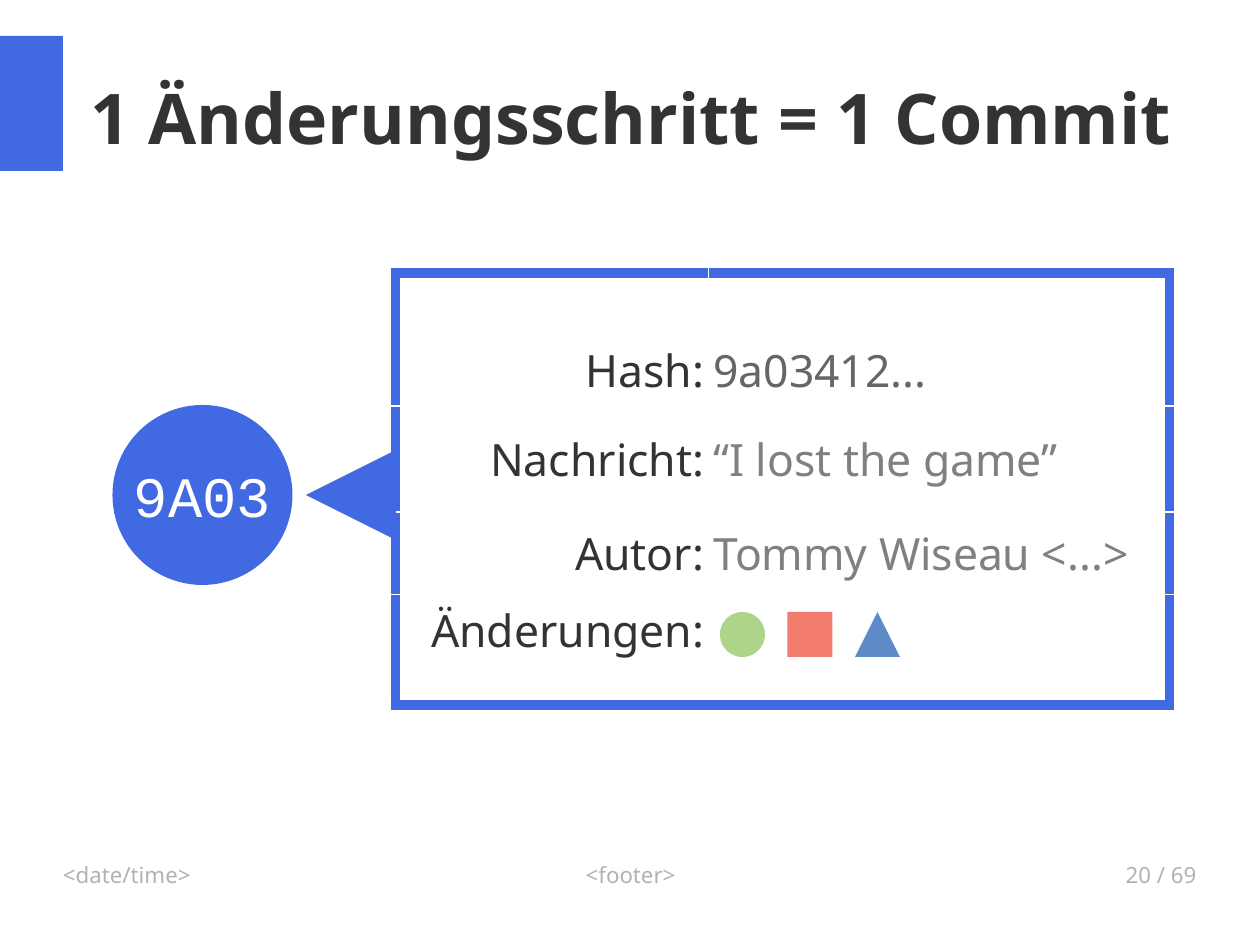
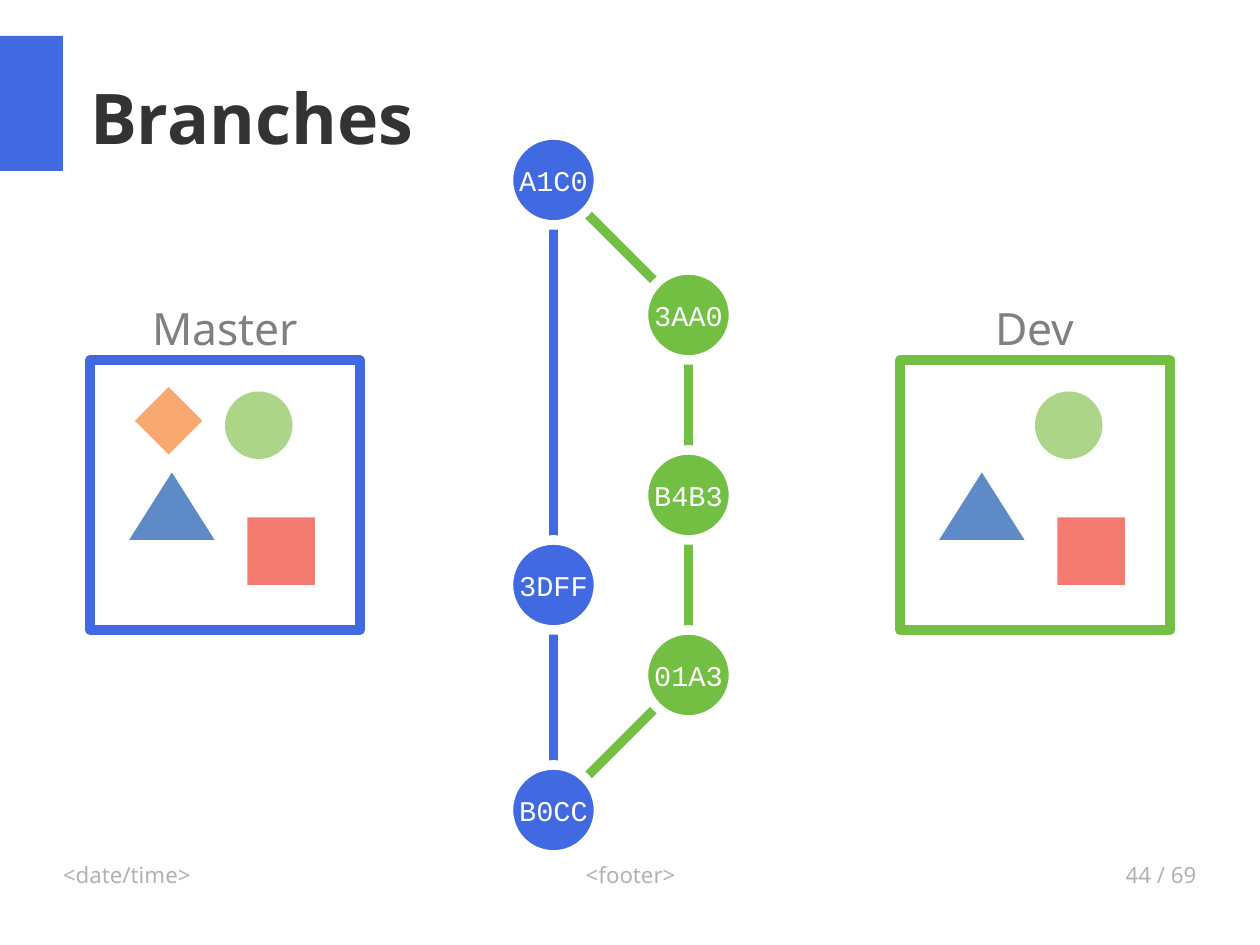
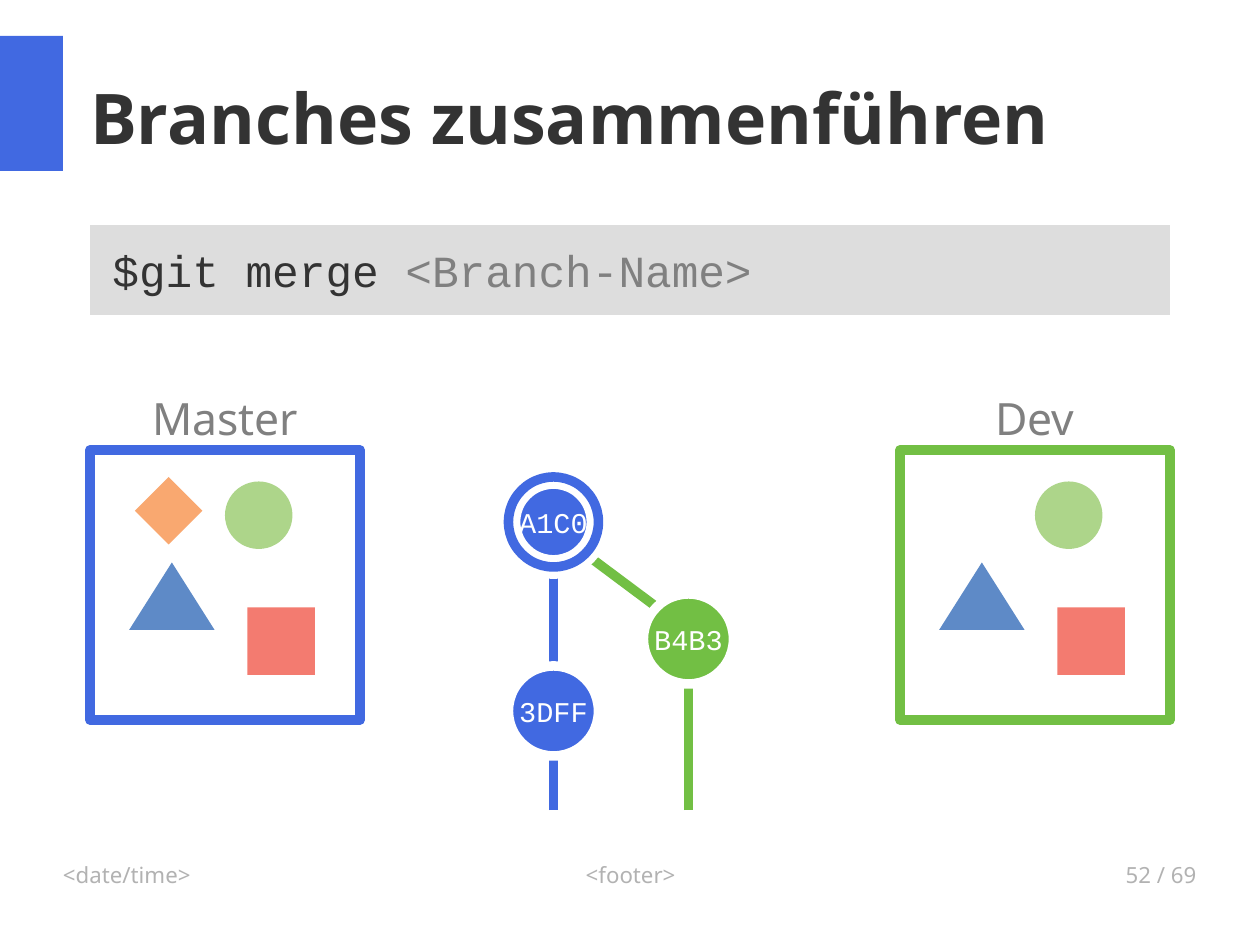
"""Builds three slides on commits and branches, on a grid of 28 columns by 21 rows."""
import pptx
import pptx.dml.color
import pptx.enum.shapes
import pptx.enum.text
import pptx.oxml
import pptx.oxml.ns
import pptx.util

Pt = pptx.util.Pt
RGB = pptx.dml.color.RGBColor.from_string
KIND = pptx.enum.shapes.MSO_SHAPE
ALIGN = pptx.enum.text.PP_ALIGN
ANCHOR = pptx.enum.text.MSO_ANCHOR
NS = pptx.oxml.ns.nsdecls("a")

COLS, ROWS = 28, 21
CELL = pptx.util.Cm(1)
COLORS = {
    "blue": "4169E1", "green": "72BF44", "white": "FFFFFF", "dark": "333333",
    "hash": "666666", "grey": "808080", "pale": "B2B2B2", "code": "DDDDDD",
    "circle": "ADD58A", "square": "F37B70", "triangle": "5E8AC7", "diamond": "F9A870",
}
TITLE = {"name": "Noto Sans", "size": Pt(44), "bold": True}
BODY = {"name": "Noto Sans", "size": Pt(28)}
FOOTER = {"name": "Noto Sans", "size": Pt(14)}
CODE = {"name": "Courier New", "size": Pt(28)}
HASH = {"name": "Courier New", "size": Pt(36)}
NODE = {"name": "Courier New", "size": Pt(18)}
FLUSH = {"margin_left": 0, "margin_right": 0, "margin_top": 0, "margin_bottom": 0,
         "word_wrap": True}
PLACED = {**FLUSH, "vertical_anchor": ANCHOR.MIDDLE,
          "auto_size": pptx.enum.text.MSO_AUTO_SIZE.NONE}
INSIDE = {"word_wrap": False, "vertical_anchor": ANCHOR.MIDDLE}
LABEL = {"word_wrap": True, "vertical_anchor": ANCHOR.BOTTOM}


def shape(s, kind, box, fill=None, line=None, width=6):
    """Adds a preset shape on grid cells."""
    sp = s.shapes.add_shape(kind, *(int(v * CELL) for v in box))
    sp.shadow.inherit = False
    for part, color in ((sp.fill, fill), (sp.line.fill, line)):
        if color:
            part.solid()
            part.fore_color.rgb = RGB(COLORS[color])
        else:
            part.background()
    if line:
        sp.line.width = Pt(width)
    return sp


def write(tf, runs, font, align=ALIGN.LEFT, frame=None):
    """Writes one paragraph of coloured runs."""
    for key, value in (frame or {}).items():
        setattr(tf, key, value)
    p = tf.paragraphs[0]
    p.alignment = align
    p.space_before = Pt(0)
    for text, color in runs:
        r = p.add_run()
        r.text = text
        r.font.color.rgb = RGB(COLORS[color])
        for key, value in font.items():
            setattr(r.font, key, value)


prs = pptx.Presentation()
prs.slide_width, prs.slide_height = COLS * CELL, ROWS * CELL
master = prs.slide_master

slides = []
for title, number, layout in (("1 Änderungsschritt = 1 Commit", 20, 5),
                              ("Branches", 44, 5),
                              ("Branches zusammenführen", 52, 1)):
    s = prs.slides.add_slide(prs.slide_layouts[layout])
    slides.append(s)
    sp = s.shapes.title
    sp.left, sp.top, sp.width, sp.height = (int(v * CELL) for v in (2, 0.84, 24.6, 3.5))
    write(sp.text_frame, [(title, "dark")], TITLE, frame=PLACED)
    sp = s.shapes.add_textbox(*(int(v * CELL) for v in (20.07, 19.13, 6.52, 1.44)))
    write(sp.text_frame, [(f"{number} / 69", "pale")], FOOTER, ALIGN.RIGHT, FLUSH)
commit, branches, merge = slides

shared = [shape(commit, KIND.RECTANGLE, (0, 0.8, 1.4, 3), "blue")]
for text, left, width, align in (("<date/time>", 1.4, 6.52, ALIGN.LEFT),
                                 ("<footer>", 9.58, 8.87, ALIGN.CENTER)):
    sp = commit.shapes.add_textbox(*(int(v * CELL) for v in (left, 19.13, width, 1.44)))
    write(sp.text_frame, [(text, "pale")], FOOTER, align, FLUSH)
    shared.append(sp)
for i, sp in enumerate(shared, 20):
    sp._element.nvSpPr.cNvPr.set("id", str(i))
    master.shapes._spTree.append(sp._element)

sp = shape(commit, KIND.OVAL, (2.5, 9, 4, 4), "blue")
write(sp.text_frame, [("9A03", "white")], HASH, ALIGN.CENTER, INSIDE)

facts = [
    ("Hash:", "9a03412...", "hash", 2.95, ANCHOR.BOTTOM),
    ("Nachricht:", "“I lost the game”", "grey", 2.36, ANCHOR.MIDDLE),
    ("Autor:", "Tommy Wiseau <...>", "grey", 1.83, ANCHOR.MIDDLE),
    ("Änderungen:", "", "grey", 2.46, ANCHOR.TOP),
]
box = (8.79, 6.07, 17.2, 9.6)
table = commit.shapes.add_table(len(facts), 2, *(int(v * CELL) for v in box)).table
table.first_row = table.horz_banding = False
for col, width in zip(table.columns, (6.96, 10.24)):
    col.width = int(width * CELL)
for i, (name, value, color, height, anchor) in enumerate(facts):
    table.rows[i].height = int(height * CELL)
    for j, (text, ink, align) in enumerate(((name, "dark", ALIGN.RIGHT),
                                            (value, color, ALIGN.LEFT))):
        cell = table.cell(i, j)
        cell.vertical_anchor = anchor
        cell.margin_left = cell.margin_right = Pt(3)
        if text:
            write(cell.text_frame, [(text, ink)], BODY, align)
        edges = {"lnL": j == 0, "lnR": j == 1, "lnT": i == 0, "lnB": i == len(facts) - 1}
        for edge, outer in edges.items():
            if outer:
                cell._tc.get_or_add_tcPr().append(pptx.oxml.parse_xml(
                    f'<a:{edge} {NS} w="{Pt(6.8)}"><a:solidFill><a:srgbClr '
                    f'val="{COLORS["blue"]}"/></a:solidFill></a:{edge}>'))
        cell.fill.background()

shape(commit, KIND.ISOSCELES_TRIANGLE, (6.8, 10, 2, 2), "blue").rotation = 270
for i, (kind, color) in enumerate(((KIND.OVAL, "circle"), (KIND.RECTANGLE, "square"),
                                   (KIND.ISOSCELES_TRIANGLE, "triangle"))):
    shape(commit, kind, (16 + 1.5 * i, 13.6, 1, 1), color)

sp = merge.placeholders[1]
sp.left, sp.top, sp.width, sp.height = (v * CELL for v in (2, 5, 24, 2))
sp.fill.solid()
sp.fill.fore_color.rgb = RGB(COLORS["code"])
pPr = sp.text_frame.paragraphs[0]._p.get_or_add_pPr()
pPr.set("marL", str(CELL // 2))
pPr.set("indent", "0")
pPr.append(pptx.oxml.parse_xml(f"<a:buNone {NS}/>"))
write(sp.text_frame, [("$git merge ", "dark"), ("<Branch-Name>", "grey")], CODE, frame=PLACED)

lanes = {"blue": 12.3, "green": 15.3}
graphs = [
    (branches, 8, None,
     {"B0CC": ("blue", 18), "3DFF": ("blue", 13), "01A3": ("green", 15),
      "B4B3": ("green", 11), "3AA0": ("green", 7), "A1C0": ("blue", 4)},
     [("B0CC", "3DFF"), ("3DFF", "A1C0"), ("B0CC", "01A3"), ("01A3", "B4B3"),
      ("B4B3", "3AA0"), ("3AA0", "A1C0")], {}),
    (merge, 10, "A1C0",
     {"3DFF": ("blue", 15.8), "B4B3": ("green", 14.2), "A1C0": ("blue", 11.6)},
     [("blue tail", "3DFF"), ("green tail", "B4B3"), ("3DFF", "A1C0"), ("B4B3", "A1C0")],
     {"blue tail": ("blue", 19), "green tail": ("green", 19)}),
]
contents = [
    (KIND.OVAL, (3, 0.7, 1.5, 1.5), "circle"),
    (KIND.ISOSCELES_TRIANGLE, (0.87, 2.5, 1.9, 1.5), "triangle"),
    (KIND.RECTANGLE, (3.5, 3.5, 1.5, 1.5), "square"),
    (KIND.DIAMOND, (1, 0.6, 1.5, 1.5), "diamond"),
]
for s, top, head, nodes, edges, tails in graphs:
    ends = {**nodes, **tails}
    for start, end in edges:
        (lane1, y1), (lane2, y2) = ends[start], ends[end]
        x1, x2 = lanes[lane1], lanes[lane2]
        side = (x2 > x1) - (x2 < x1)
        reach = 0.71 if side else 1
        points = (x1 + reach * side, y1 - reach, x2 - reach * side, y2 + reach)
        cxn = s.shapes.add_connector(pptx.enum.shapes.MSO_CONNECTOR.STRAIGHT,
                                     *(int(v * CELL) for v in points))
        cxn.line.color.rgb = RGB(COLORS["green" if "green" in (lane1, lane2) else "blue"])
        cxn.line.width = Pt(6)
        cxn._element.spPr.append(pptx.oxml.parse_xml(f"<a:effectLst {NS}/>"))
    for name, (lane, y) in nodes.items():
        box = (lanes[lane] - 1, y - 1, 2, 2)
        sp = shape(s, KIND.OVAL, box, lane, "white", 15 if name == head else 6)
        write(sp.text_frame, [(name, "white")], NODE, ALIGN.CENTER, INSIDE)
        if name == head:
            shape(s, KIND.OVAL, box, line=lane)
    for name, color, left, count in (("Master", "blue", 2, 4), ("Dev", "green", 20, 3)):
        shape(s, KIND.RECTANGLE, (left, top, 6, 6), line=color)
        for kind, (x, y, w, h), fill in contents[:count]:
            shape(s, kind, (left + x, top + y, w, h), fill)
        sp = s.shapes.add_textbox(*(int(v * CELL) for v in (left, top - 1.6, 6, 1.6)))
        write(sp.text_frame, [(name, "grey")], BODY, ALIGN.CENTER, LABEL)

prs.save("out.pptx")
